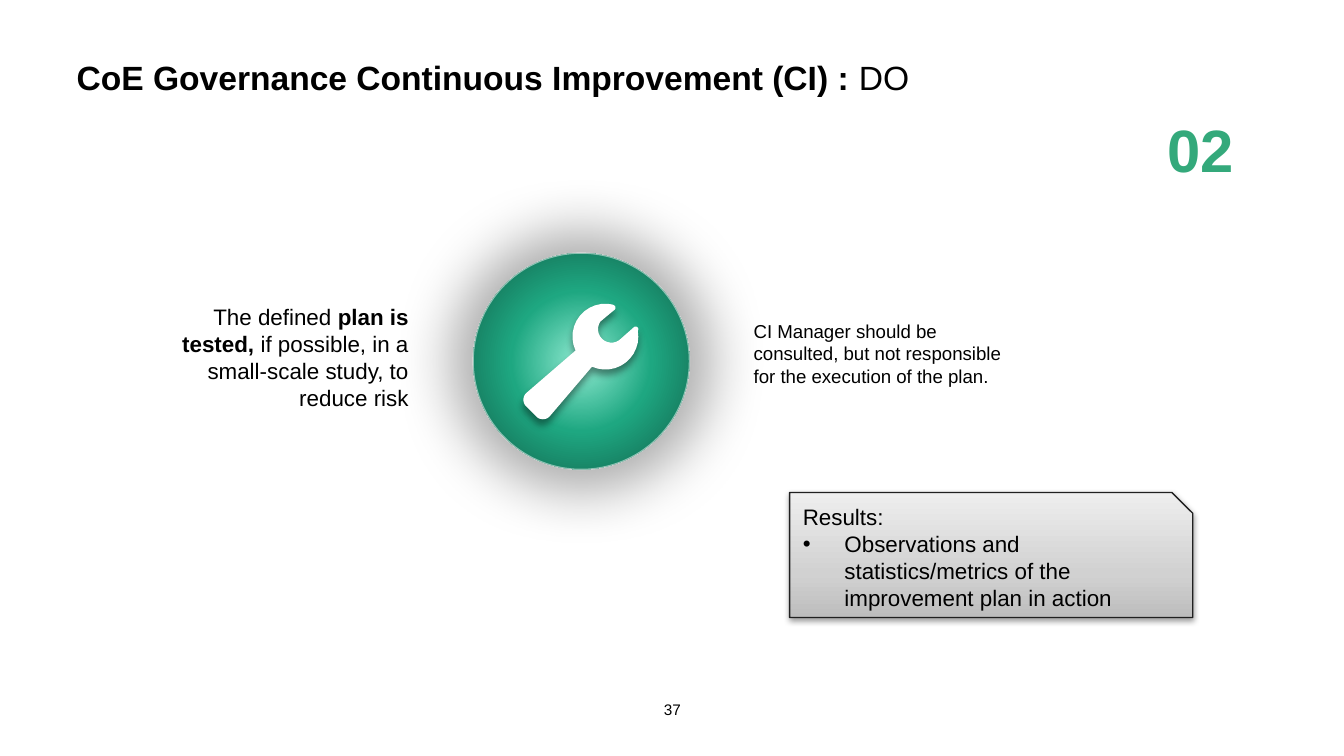
import math

import pptx
import pptx.dml.color
import pptx.enum.shapes
import pptx.enum.text
import pptx.oxml
import pptx.oxml.ns
import pptx.util

ALIGN = pptx.enum.text.PP_ALIGN
ANCHOR = pptx.enum.text.MSO_ANCHOR
SHAPE = pptx.enum.shapes.MSO_SHAPE
NAMESPACE = pptx.oxml.ns.nsdecls("a")

deck = pptx.Presentation()
deck.slide_width = pptx.util.Inches(10)
deck.slide_height = deck.slide_width * 9 // 16
unit = deck.slide_width // 100  # square grid, 100 columns across the page
page = deck.slides.add_slide(deck.slide_layouts[5])


def color(hex_code):
    return pptx.dml.color.RGBColor.from_string(hex_code)


def write(box, paragraphs, size, hex_code="000000", align=ALIGN.LEFT, anchor=ANCHOR.TOP,
          insets=(1, 0.5, 1, 0.5), wrap=True):
    """Fill a box with paragraphs, each a list of (text, bold) spans."""
    frame = box.text_frame
    frame.word_wrap = wrap
    frame.auto_size = pptx.enum.text.MSO_AUTO_SIZE.NONE
    frame.vertical_anchor = anchor
    frame.margin_left, frame.margin_top, frame.margin_right, frame.margin_bottom = (
        round(inset * unit) for inset in insets)
    for index, spans in enumerate(paragraphs):
        para = frame.paragraphs[0] if index == 0 else frame.add_paragraph()
        para.alignment = align
        para.space_before = pptx.util.Pt(0)
        for text, bold in spans:
            span = para.add_run()
            span.text = text
            span.font.name = "Arial"
            span.font.size = pptx.util.Pt(size)
            span.font.bold = bold
            span.font.color.rgb = color(hex_code)


# Title
title = page.shapes.title
title.left, title.top, title.width, title.height = (
    round(length * unit) for length in (4.7, 3.2, 90.3, 5))
write(title, [[("CoE Governance Continuous Improvement (CI) :", True), (" DO", False)]], 18,
      anchor=ANCHOR.MIDDLE, insets=(1, 1, 1, 1))

# Results card and step badge
card = page.shapes.add_shape(SHAPE.SNIP_1_RECTANGLE, *(
    round(length * unit) for length in (58.75, 36.65, 30, 9.3)))
badge = page.shapes.add_shape(SHAPE.OVAL, *(
    round(length * unit) for length in (35.2, 18.83, 16.1, 16.1)))

gradients = [
    (card, [(0, "BDBDBD"), (35, "D1D1D1"), (100, "EEEEEE")],
     '<a:lin ang="16200000" scaled="0"/>', "202020"),
    (badge, [(0, "8FEAD1"), (46, "1EA781"), (100, "115C47")],
     '<a:path path="circle"><a:fillToRect l="50000" t="50000" r="50000" b="50000"/></a:path>',
     "FFFFFF"),
]
for shape, stops, direction, outline in gradients:
    stop_list = "".join(f'<a:gs pos="{position * 1000}"><a:srgbClr val="{hex_code}"/></a:gs>'
                        for position, hex_code in stops)
    shape._element.spPr.insert(2, pptx.oxml.parse_xml(
        f'<a:gradFill {NAMESPACE} rotWithShape="1"><a:gsLst>{stop_list}</a:gsLst>'
        f'{direction}</a:gradFill>'))
    shape.line.color.rgb = color(outline)
    shape.line.width = pptx.util.Pt(0.75)

badge_line = badge._element.spPr.find(pptx.oxml.ns.qn("a:ln"))
badge_line.find(".//" + pptx.oxml.ns.qn("a:srgbClr")).append(
    pptx.oxml.parse_xml(f'<a:alpha {NAMESPACE} val="50000"/>'))

write(card, [[("Results:", False)],
             [("Observations and statistics/metrics of the improvement plan in action", False)]],
      12, anchor=ANCHOR.BOTTOM, insets=(1, 0, 0, 0.5))
bullet = card.text_frame.paragraphs[1]._p.get_or_add_pPr()
bullet.set("marL", str(round(3.1 * unit)))
bullet.set("indent", str(round(-3.1 * unit)))
bullet.append(pptx.oxml.parse_xml(f'<a:buFont {NAMESPACE} typeface="Arial"/>'))
bullet.append(pptx.oxml.parse_xml(f'<a:buChar {NAMESPACE} char="•"/>'))

# Step number
number = page.shapes.add_textbox(*(round(length * unit) for length in (86.15, 8, 27.9, 7.6)))
write(number, [[("02", True)]], 32, hex_code="34A97B", insets=(0.7, 0.4, 0.7, 0.4))

# Wrench: arcs as centre, radius, first and last angle, joined by straight edges
arcs = [
    (45.6, 22.9, 0.2, -90, 45),      # upper jaw tip
    (45.5, 24.5, 1, 215, 55),        # notch
    (47.3, 24.5, 0.2, 225, 360),     # lower jaw tip
    (45.05, 25.05, 2.45, -10, 114),  # right of head
    (40.4, 30.5, 0.7, 45, 135),      # handle end
    (39.65, 29.75, 0.7, 135, 225),
    (45.05, 25.05, 2.45, 155, 284),  # left of head
]
steps = 12
outline_points = []
for center_x, center_y, radius, first, last in arcs:
    for step in range(steps + 1):
        angle = math.radians(first + (last - first) * step / steps)
        outline_points.append((round((center_x + radius * math.cos(angle)) * unit),
                               round((center_y + radius * math.sin(angle)) * unit)))
builder = page.shapes.build_freeform(*outline_points[0])
builder.add_line_segments(outline_points[1:], close=True)
wrench = builder.convert_to_shape()
wrench.fill.solid()
wrench.fill.fore_color.rgb = color("FFFFFF")
wrench.line.fill.background()

# Shadows: opacity, blur and distance in points, scale in percent
for shape, opacity, blur, distance, scale in [
        (card, 38, 3.1, 1.6, 100), (badge, 32, 31, 0, 120), (wrench, 40, 4, 3, 100)]:
    shape.shadow.inherit = False
    shape._element.spPr.find(pptx.oxml.ns.qn("a:effectLst")).append(pptx.oxml.parse_xml(
        f'<a:outerShdw {NAMESPACE} blurRad="{pptx.util.Pt(blur)}" '
        f'dist="{pptx.util.Pt(distance)}" dir="5400000" sx="{scale * 1000}" '
        f'sy="{scale * 1000}" algn="ctr" rotWithShape="0">'
        f'<a:srgbClr val="000000"><a:alpha val="{opacity * 1000}"/></a:srgbClr>'
        f'</a:outerShdw>'))

# Texts beside the badge and the page number
texts = [
    ((10, 22.1, 21.4, 9.1),
     [("The defined ", False), ("plan is tested, ", True),
      ("if possible, in a small-scale study, to reduce risk", False)],
     dict(size=12, align=ALIGN.RIGHT)),
    ((55.1, 23.3, 21, 6.1),
     [("CI Manager should be consulted, but not responsible for the execution of the plan.",
       False)], dict(size=10)),
    ((49.4, 52.1, 2, 1.4), [("37", False)],
     dict(size=8.2, insets=(0, 0, 0, 0), wrap=False)),
]
for place, spans, style in texts:
    box = page.shapes.add_textbox(*(round(length * unit) for length in place))
    write(box, [spans], **style)

deck.save("out.pptx")
